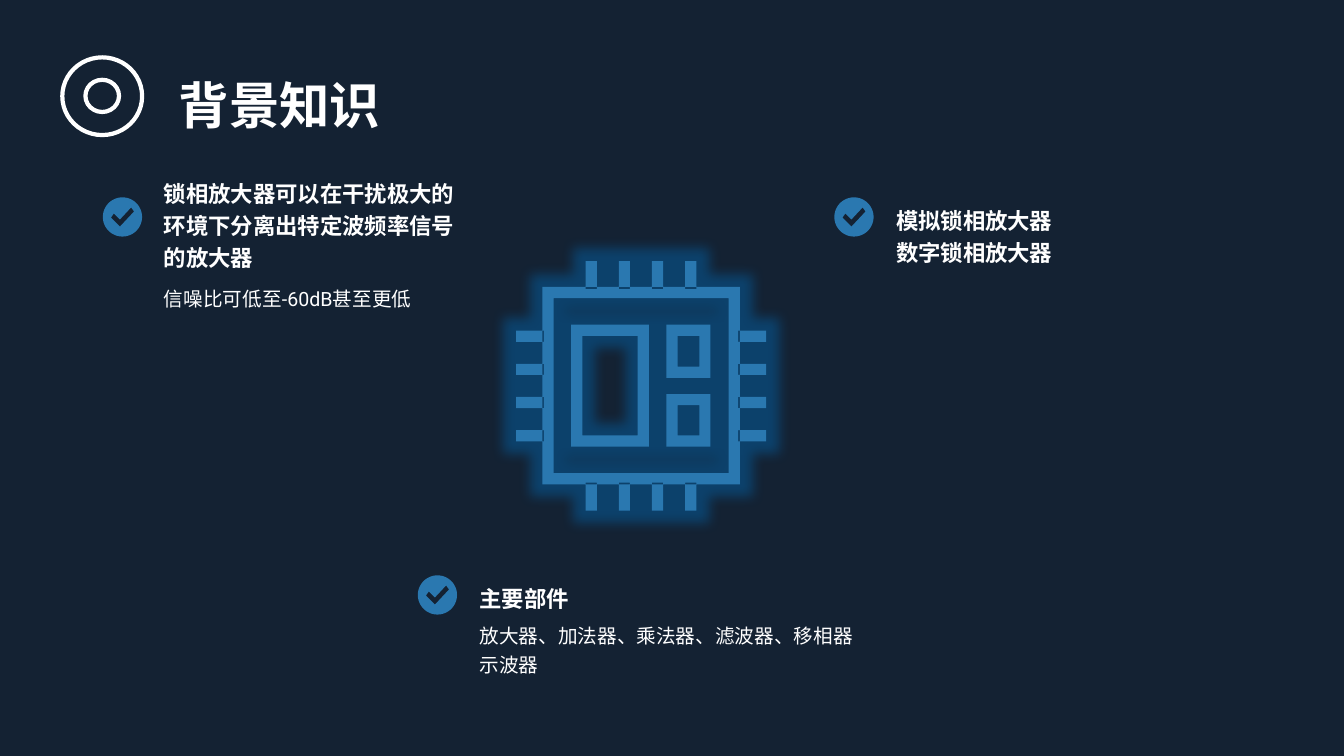
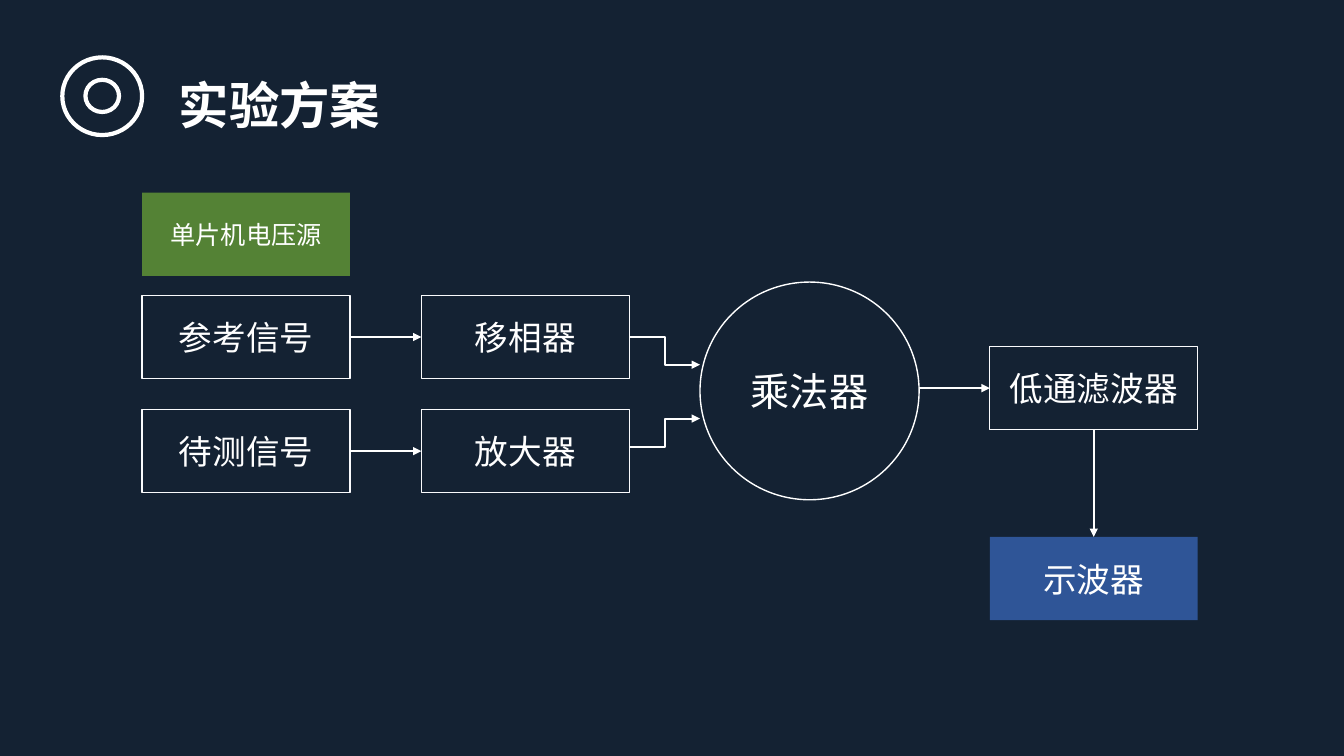
import math

from lxml import etree
from pptx import Presentation, util as u
from pptx.dml import color
from pptx.enum import shapes, text
from pptx.oxml import ns

Pt = u.Pt
COLOURS = {
    "background": "142233",
    "white": "FFFFFF",
    "outline": "FAFBFD",
    "accent": "2A78B0",
    "glow": "0070C0",
    "source": "548235",
    "scope": "2F5597",
}


class Deck:
    """Hold the shared style and the slide being built, and draw its elements."""

    FONT = "Roboto"
    BADGE_SIZE = 28
    CHECK = [(12.2, 20.9), (5.8, 14.4), (7.9, 11.5), (12.2, 15.8), (20.2, 7.2), (22.3, 10.1)]

    def __init__(self):
        self.presentation = Presentation()
        self.presentation.slide_width = Pt(960)
        self.presentation.slide_height = Pt(540)
        fill = self.presentation.slide_master.background.fill
        fill.solid()
        fill.fore_color.rgb = self.rgb("background")
        self.slide = None

    def rgb(self, name):
        return color.RGBColor.from_string(COLOURS[name])

    def new_slide(self, title):
        self.slide = self.presentation.slides.add_slide(self.presentation.slide_layouts[6])
        self.text_box(120.5, 41, 209, 55.5, [title], 36, bold=True)
        self.shape("OVAL", 44.5, 41, 57, 55.5, line="white", weight=3)
        self.shape("OVAL", 61, 57, 24, 23, line="white", weight=3)

    def style(self, paragraph, size, bold=False):
        font = paragraph.font
        font.size = Pt(size)
        font.bold = bold
        font.color.rgb = self.rgb("white")
        font.name = self.FONT
        defaults = paragraph._p.get_or_add_pPr().find(ns.qn("a:defRPr"))
        etree.SubElement(defaults, ns.qn("a:ea"), typeface=self.FONT)

    def text_box(self, left, top, width, height, lines, size, bold=False):
        box = self.slide.shapes.add_textbox(Pt(left), Pt(top), Pt(width), Pt(height))
        frame = box.text_frame
        frame.word_wrap = True
        frame.auto_size = text.MSO_AUTO_SIZE.SHAPE_TO_FIT_TEXT
        frame.text = "\n".join(lines)
        for paragraph in frame.paragraphs:
            paragraph.line_spacing = 1.2
            self.style(paragraph, size, bold)

    def shape(self, kind, left, top, width, height, label="", size=24, fill=None, line=None, weight=1):
        shape = self.slide.shapes.add_shape(
            shapes.MSO_SHAPE[kind], Pt(left), Pt(top), Pt(width), Pt(height))
        shape.shadow.inherit = False
        self.paint(shape, fill, line, weight)
        if label:
            frame = shape.text_frame
            frame.text = label
            frame.vertical_anchor = text.MSO_ANCHOR.MIDDLE
            frame.paragraphs[0].alignment = text.PP_ALIGN.CENTER
            self.style(frame.paragraphs[0], size)
        return shape

    def paint(self, shape, fill, line=None, weight=1):
        for part, colour in ((shape.fill, fill), (shape.line.fill, line)):
            if colour:
                part.solid()
                part.fore_color.rgb = self.rgb(colour)
            else:
                part.background()
        if line:
            shape.line.width = Pt(weight)

    def outline(self, contours):
        contours = [[(Pt(x), Pt(y)) for x, y in contour] for contour in contours]
        builder = self.slide.shapes.build_freeform(*contours[0][0])
        for index, contour in enumerate(contours):
            if index:
                builder.move_to(*contour[0])
            builder.add_line_segments(contour[1:], close=True)
        shape = builder.convert_to_shape()
        shape.shadow.inherit = False
        self.paint(shape, "accent")
        return shape

    def badge(self, left, top, steps=72):
        radius = self.BADGE_SIZE / 2
        angles = [2 * math.pi * step / steps for step in range(steps)]
        circle = [(left + radius + radius * math.cos(angle), top + radius + radius * math.sin(angle))
                  for angle in angles]
        self.outline([circle, [(left + x, top + y) for x, y in self.CHECK]])

    def glow(self, shape, radius, opacity):
        effects = shape._element.spPr.find(ns.qn("a:effectLst"))
        glow = etree.SubElement(effects, ns.qn("a:glow"), rad=str(Pt(radius)))
        colour = etree.SubElement(glow, ns.qn("a:srgbClr"), val=COLOURS["glow"])
        etree.SubElement(colour, ns.qn("a:alpha"), val=str(opacity * 1000))

    def arrow(self, start, end, kind="STRAIGHT"):
        connector = self.slide.shapes.add_connector(
            shapes.MSO_CONNECTOR[kind], *(Pt(value) for value in (*start, *end)))
        connector.line.width = Pt(1.5)
        connector.line.color.rgb = self.rgb("white")
        etree.SubElement(connector.line._get_or_add_ln(), ns.qn("a:tailEnd"), type="triangle")
        etree.SubElement(connector._element.spPr, ns.qn("a:effectLst"))
        return connector


def rectangle(left, top, width, height):
    right, bottom = left + width, top + height
    return [(left, top), (right, top), (right, bottom), (left, bottom)]


def chip_contours():
    bar, pin, pitch = 8, 20, 23.7
    contours = []
    frames = [(387.5, 205, 141, 141), (408, 232, 55.5, 87),
              (476, 232, 31.5, 38), (476, 281.5, 31.5, 37.5)]
    for left, top, width, height in frames:
        contours.append(rectangle(left, top, width, height))
        contours.append(rectangle(left + bar, top + bar, width - 2 * bar, height - 2 * bar))
    for index in range(4):
        offset = index * pitch
        contours += [rectangle(418.3 + offset, top, bar, pin) for top in (186.5, 344.8)]
        contours += [rectangle(left, 236.2 + offset, pin, bar) for left in (368.6, 527.2)]
    return contours


def background_slide(deck):
    deck.new_slide("背景知识")
    for left, top in ((73.5, 141), (596, 141), (298.5, 411)):
        deck.badge(left, top)
    deck.text_box(110, 121, 232.5, 75, ["锁相放大器可以在干扰极大的环境下分离出特定波频率信号的放大器"], 16, bold=True)
    deck.text_box(110, 198, 245, 26, ["信噪比可低至-60dB甚至更低"], 14)
    deck.text_box(633, 140.5, 130, 52, ["模拟锁相放大器", "数字锁相放大器"], 16, bold=True)
    deck.text_box(335.5, 410.5, 82, 29, ["主要部件"], 16, bold=True)
    deck.text_box(335.5, 439, 284, 46, ["放大器、加法器、乘法器、滤波器、移相器", "示波器"], 14)
    deck.glow(deck.outline(chip_contours()), 18, 40)


def scheme_slide(deck):
    deck.new_slide("实验方案")
    width, height = 148.5, 59.5
    signals, stages, outputs = 101.5, 301, 707
    upper, lower = 211, 292.5

    def block(label, left, top, size=24, fill=None):
        return deck.shape("RECTANGLE", left, top, width, height, label, size,
                          fill, None if fill else "outline")

    block("单片机电压源", signals, 137.5, 18, "source")
    reference = block("参考信号", signals, upper)
    measured = block("待测信号", signals, lower)
    shifter = block("移相器", stages, upper)
    amplifier = block("放大器", stages, lower)
    low_pass = block("低通滤波器", outputs, 247.5)
    scope = block("示波器", outputs, 383.5, fill="scope")
    deck.shape("OVAL", 500, 201.5, 156.5, 155.5, "乘法器", 28, line="white")

    links = ((reference, 3, shifter, 1), (measured, 3, amplifier, 1), (low_pass, 2, scope, 0))
    for source, source_site, target, target_site in links:
        connector = deck.arrow((0, 0), (0, 0))
        connector.begin_connect(source, source_site)
        connector.end_connect(target, target_site)
    deck.arrow((656.5, 277.25), (outputs, 277.25))
    for start, end in ((240.75, 260.5), (319.5, 299)):
        deck.arrow((stages + width, start), (500, end), "ELBOW")


def main():
    deck = Deck()
    background_slide(deck)
    scheme_slide(deck)
    deck.presentation.save("out.pptx")


if __name__ == "__main__":
    main()
